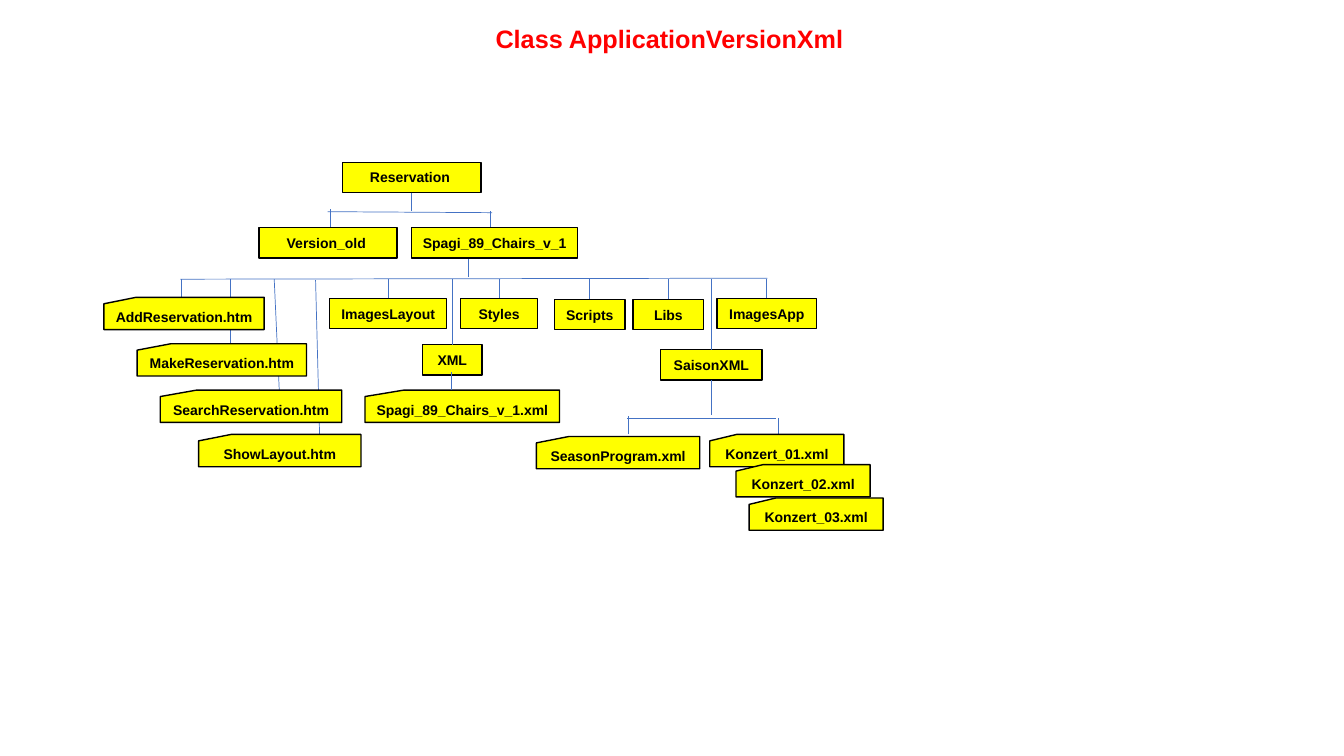
from lxml.etree import SubElement
from pptx import Presentation
from pptx.dml.color import RGBColor
from pptx.enum.shapes import MSO_CONNECTOR, MSO_SHAPE
from pptx.enum.text import MSO_ANCHOR, MSO_AUTO_SIZE, PP_ALIGN
from pptx.oxml.ns import qn
from pptx.util import Inches, Pt

BLUE, YELLOW, BLACK, RED = "4472C4", "FFFF00", "000000", "FF0000"
BUS = 2.77  # height of the line that feeds the main folder

# Folders: text, left, top, width
FOLDERS = [
    ("Reservation ", 3.4, 1.61, 1.37),
    ("Version_old ", 2.57, 2.26, 1.37),
    ("Spagi_89_Chairs_v_1", 4.08, 2.26, 1.65),
    ("ImagesLayout", 3.27, 2.96, 1.16),
    ("Styles", 4.57, 2.96, 0.76),
    ("Scripts", 5.5, 2.97, 0.7),
    ("Libs", 6.28, 2.97, 0.7),
    ("ImagesApp", 7.11, 2.96, 0.99),
    ("XML", 4.19, 3.42, 0.59),
    ("SaisonXML", 6.55, 3.47, 1.01),
]
# Files: text, left, top, width
FILES = [
    ("AddReservation.htm", 1.03, 2.95, 1.59),
    ("MakeReservation.htm", 1.36, 3.41, 1.68),
    ("SearchReservation.htm", 1.59, 3.87, 1.8),
    ("ShowLayout.htm", 1.97, 4.31, 1.61),
    ("Spagi_89_Chairs_v_1.xml", 3.62, 3.87, 1.93),
    ("SeasonProgram.xml", 5.32, 4.33, 1.62),
    ("Konzert_01.xml", 7.04, 4.31, 1.33),
    ("Konzert_02.xml", 7.3, 4.61, 1.33),
    ("Konzert_03.xml", 7.43, 4.94, 1.33),
]
# Lines that end at no folder's middle: x1, y1, x2, y2
LINES = [
    # Below Reservation
    (3.25, 2.1, 4.88, 2.11),
    (3.28, 2.26, 3.28, 2.07),
    (4.86, 2.27, 4.86, 2.09),
    # Below the main folder
    (4.65, 2.75, 4.65, 2.57),
    (1.79, BUS, 7.61, 2.76),
    (1.8, 2.95, 1.8, BUS),
    (2.28, 3.41, 2.28, BUS),
    (2.77, 3.87, 2.72, BUS),
    (3.17, 4.31, 3.13, 2.78),
    # Below SaisonXML
    (6.22, 4.15, 7.7, 4.15),
    (6.23, 4.31, 6.23, 4.13),
    (7.72, 4.33, 7.72, 4.15),
]
TOP, BOTTOM = 0, 2
# Lines joined to a folder: folder, side, y of the free end
JOINS = [("Reservation ", BOTTOM, 2.09), ("SaisonXML", BOTTOM, 4.12)] + [
    (name, TOP, BUS)
    for name in ("ImagesLayout", "Styles", "Scripts", "Libs",
                 "ImagesApp", "XML", "SaisonXML")
]


def color(code):
    return RGBColor.from_string(code)


def style(para, size, code):
    para.alignment = PP_ALIGN.CENTER
    font = para.font
    font.name, font.size, font.bold = "Arial", Pt(size), True
    font.color.rgb = color(code)


def add_title(slide, text):
    title = slide.shapes.title
    title.left, title.top = Inches(0.08), Inches(0.18)
    title.width, title.height = Inches(13.12), Inches(0.4)
    frame = title.text_frame
    frame.text = text
    frame.auto_size = MSO_AUTO_SIZE.SHAPE_TO_FIT_TEXT
    frame.vertical_anchor = MSO_ANCHOR.TOP
    style(frame.paragraphs[0], 18, RED)


def add_box(slide, kind, text, left, top, width, height):
    box = slide.shapes.add_shape(
        kind, Inches(left), Inches(top), Inches(width), Inches(height))
    box.shadow.inherit = False
    box.fill.solid()
    box.fill.fore_color.rgb = color(YELLOW)
    box.line.color.rgb = color(BLACK)
    box.line.width = Pt(1)
    frame = box.text_frame
    frame.text = text
    frame.vertical_anchor = MSO_ANCHOR.MIDDLE
    style(frame.paragraphs[0], 10, BLACK)
    return box


def add_line(slide, x1, y1, x2, y2):
    line = slide.shapes.add_connector(
        MSO_CONNECTOR.STRAIGHT, x1, y1, x2, y2)
    line.line.color.rgb = color(BLUE)
    line.line.width = Pt(0.5)
    SubElement(line._element.spPr, qn("a:effectLst"))
    return line


def join(slide, box, side, end):
    mid = box.left + box.width // 2
    edge = box.top if side == TOP else box.top + box.height
    line = add_line(slide, mid, edge, mid, Inches(end))
    line.begin_connect(box, side)


def main():
    deck = Presentation()
    deck.slide_width, deck.slide_height = Inches(13.33), Inches(7.5)
    slide = deck.slides.add_slide(deck.slide_layouts[5])
    add_title(slide, "Class ApplicationVersionXml")

    # Free lines lie behind the files
    for ends in LINES:
        add_line(slide, *map(Inches, ends))

    # Folders and files
    boxes = {
        item[0]: add_box(slide, MSO_SHAPE.RECTANGLE, *item, 0.3)
        for item in FOLDERS
    }
    for item in FILES:
        add_box(slide, MSO_SHAPE.FLOWCHART_CARD, *item, 0.32)

    # Joined lines, and the one that overlaps the XML folder
    for name, side, end in JOINS:
        join(slide, boxes[name], side, end)
    add_line(slide, *map(Inches, (4.48, 3.87, 4.48, 3.69)))

    deck.save("out.pptx")


if __name__ == "__main__":
    main()
